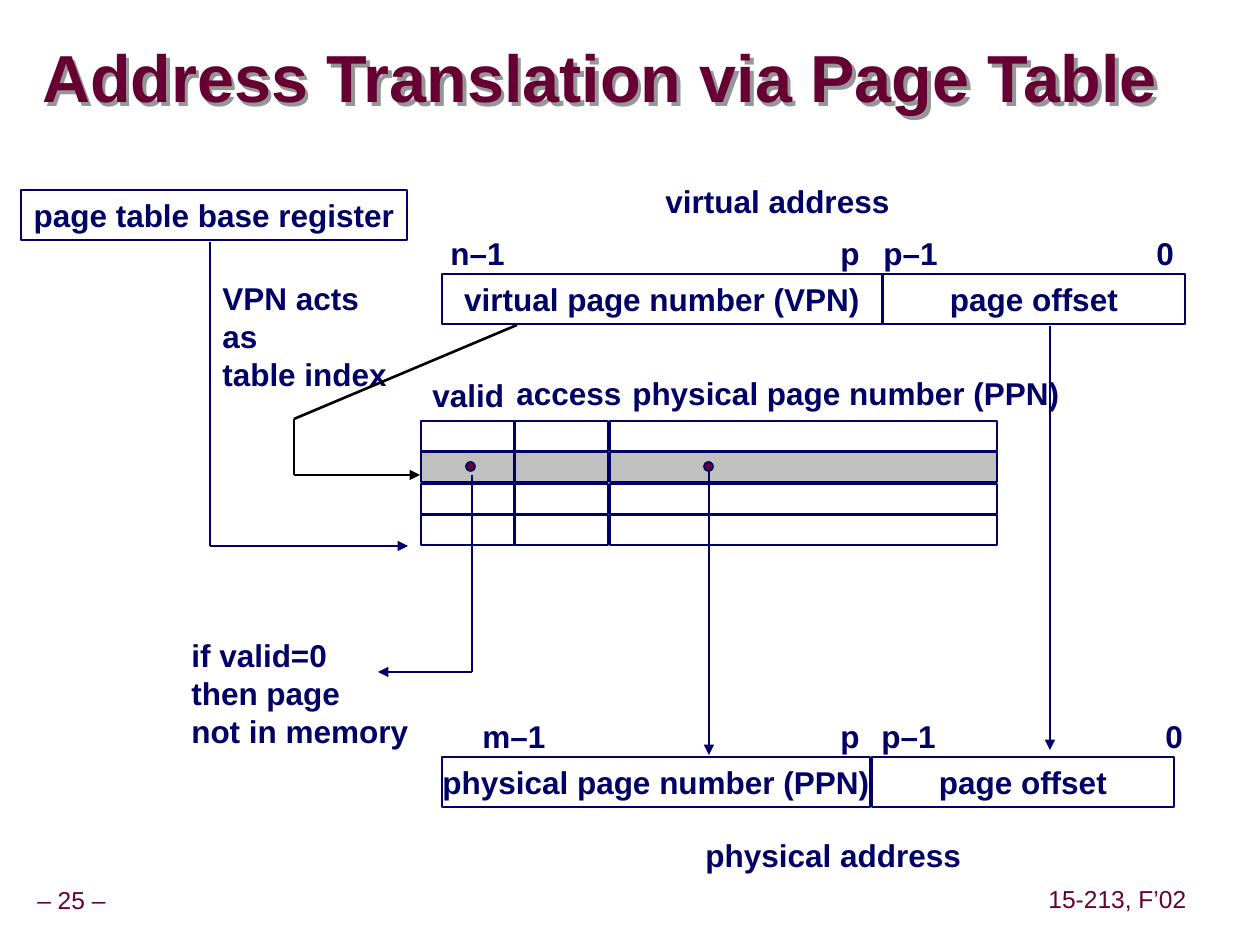
from lxml import etree
from pptx import Presentation
from pptx import util as u
from pptx.dml.color import RGBColor
from pptx.enum import shapes, text
from pptx.oxml import ns

SCALE = 914400 / 126
NAVY, MAROON, GRAY, WHITE, BLACK = "000066", "660033", "C0C0C0", "FFFFFF", "000000"


def px(length):
    return u.Emu(round(length * SCALE))


def color(value):
    return RGBColor.from_string(value)


def write(shape, content, size=18, ink=NAVY, bold=True, align="LEFT", anchor="TOP",
          wrap=False, grow=False, insets=(0.1, 0.05), spacing=None):
    frame = shape.text_frame
    frame.word_wrap = wrap
    frame.auto_size = text.MSO_AUTO_SIZE.SHAPE_TO_FIT_TEXT if grow else text.MSO_AUTO_SIZE.NONE
    frame.vertical_anchor = text.MSO_ANCHOR[anchor]
    frame.margin_left = frame.margin_right = u.Inches(insets[0])
    frame.margin_top = frame.margin_bottom = u.Inches(insets[1])
    frame.text = content
    for paragraph in frame.paragraphs:
        paragraph.alignment = text.PP_ALIGN[align]
        if spacing:
            paragraph.line_spacing = spacing
        for run in paragraph.runs:
            run.font.size = u.Pt(size)
            run.font.bold = bold
            run.font.color.rgb = color(ink)
            run.font.name = "Arial"


class Diagram:
    """Draws styled diagram elements on one slide."""

    def __init__(self, slide, stroke=NAVY):
        self.slide = slide
        self.stroke = stroke

    def shape(self, left, top, width, height, fill=WHITE, kind="RECTANGLE"):
        shape = self.slide.shapes.add_shape(
            shapes.MSO_SHAPE[kind], px(left), px(top), px(width), px(height))
        shape.shadow.inherit = False
        shape.fill.solid()
        shape.fill.fore_color.rgb = color(fill)
        shape.line.color.rgb = color(self.stroke)
        shape.line.width = u.Pt(1)
        return shape

    def field(self, content, left, top, width):
        write(self.shape(left, top, width, 50), content, align="CENTER", anchor="MIDDLE")

    def dot(self, left, top):
        self.shape(left, top, 9, 9, MAROON, "OVAL")

    def label(self, content, left, top, width, height=50, **style):
        box = self.slide.shapes.add_textbox(px(left), px(top), px(width), px(height))
        write(box, content, **{"grow": True, **style})
        return box

    def title(self, content):
        box = self.label(content, 42, 42, 1129, 79, size=38, ink=MAROON, anchor="MIDDLE",
                         wrap=True, grow=False, insets=(0, 0), spacing=0.87)
        effects = etree.SubElement(box._element.spPr, ns.qn("a:effectLst"))
        shadow = etree.SubElement(effects, ns.qn("a:outerShdw"), dist="38100", dir="2700000")
        etree.SubElement(shadow, ns.qn("a:srgbClr"), val="969696")

    def footer(self, content, left, top, width):
        self.label(content, left, top, width, 39, size=14, ink=MAROON, bold=False,
                   align="CENTER", anchor="MIDDLE", insets=(0.05, 0.05), spacing=0.9)

    def route(self, *points, ink=NAVY, width=1):
        for start, end in zip(points, points[1:]):
            line = self.slide.shapes.add_connector(
                shapes.MSO_CONNECTOR.STRAIGHT, *map(px, start + end))
            line.line.color.rgb = color(ink)
            line.line.width = u.Pt(width)
            if end == points[-1]:
                etree.SubElement(line.line._get_or_add_ln(), ns.qn("a:tailEnd"), type="triangle")
            etree.SubElement(line._element.spPr, ns.qn("a:effectLst"))


def main():
    presentation = Presentation()
    presentation.slide_width, presentation.slide_height = px(1260), px(945)
    slide = presentation.slides.add_slide(presentation.slide_layouts[6])
    diagram = Diagram(slide)

    diagram.footer("– 25 –", -11, 882, 165)
    diagram.footer("15-213, F’02", 1042, 881, 151)
    diagram.title("Address Translation via Page Table")

    for field in [("virtual page number (VPN)", 442, 274, 440),
                  ("page offset", 883, 274, 302),
                  ("physical page number (PPN)", 442, 757, 428),
                  ("page offset", 872, 757, 302),
                  ("page table base register", 21, 190, 386)]:
        diagram.field(*field)

    for row in range(4):
        for left, width in [(421, 93), (515, 93), (610, 387)]:
            diagram.shape(left, 421 + 63 * row // 2, width, 30, GRAY if row == 1 else WHITE)

    for label in [("virtual address", 653, 176, 249),
                  ("n–1", 438, 228, 88), ("p", 828, 228, 44),
                  ("p–1", 871, 228, 88), ("0", 1144, 228, 43),
                  ("valid", 420, 370, 97), ("access", 504, 368, 130),
                  ("physical page number (PPN)", 620, 368, 452),
                  ("m–1", 470, 711, 96), ("p", 828, 711, 44),
                  ("p–1", 869, 711, 88), ("0", 1153, 711, 43),
                  ("physical address", 693, 830, 281),
                  ("if valid=0\nthen page\nnot in memory", 179, 630, 242, 126)]:
        diagram.label(*label)
    diagram.label("VPN acts as\ntable index", 210, 273, 199, 126, wrap=True)

    diagram.route((1050, 326), (1050, 750))
    diagram.route((709, 471), (709, 755))
    diagram.route((472, 475), (472, 672), (378, 672))
    diagram.route((210, 242), (210, 546), (408, 546))
    diagram.route((517, 325), (294, 419), (294, 475), (420, 475), ink=BLACK, width=1.5)
    diagram.dot(466, 462)
    diagram.dot(704, 462)

    presentation.save("out.pptx")


if __name__ == "__main__":
    main()
